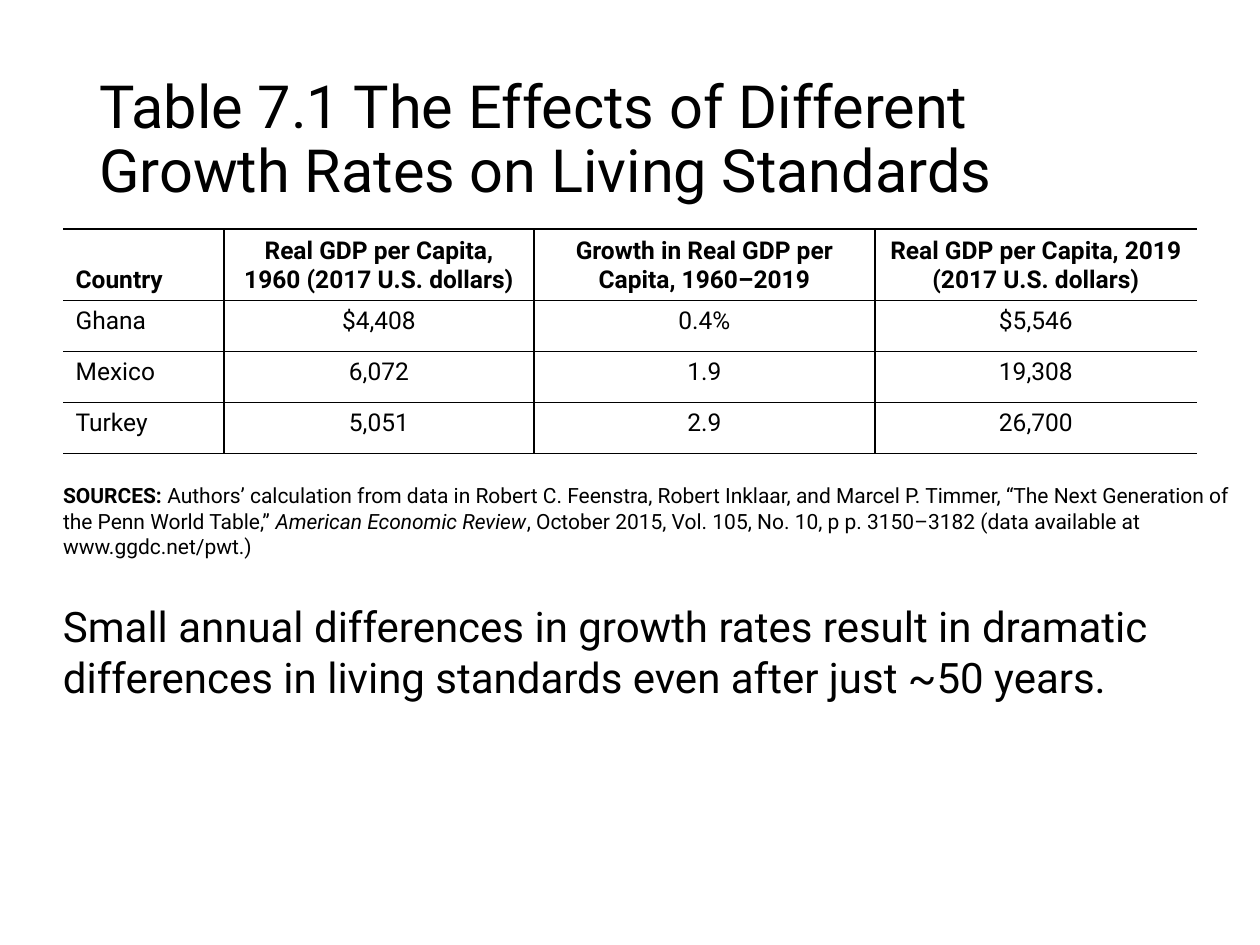
"""Build a slide with a table of growth rates and living standards."""
import pptx
import pptx.dml.color
import pptx.enum.text
import pptx.oxml
import pptx.oxml.ns
import pptx.util

PX = 914400 // 126
FONT = "Roboto"
BLACK = "000000"
TITLE = "Table 7.1 The Effects of Different Growth Rates on Living Standards"
ROWS = [
    ("Country", "Real GDP per Capita, 1960 (2017 U.S. dollars)",
     "Growth in Real GDP per Capita, 1960–2019",
     "Real GDP per Capita, 2019 (2017 U.S. dollars)"),
    ("Ghana", "$4,408", "0.4%", "$5,546"),
    ("Mexico", "6,072", "1.9", "19,308"),
    ("Turkey", "5,051", "2.9", "26,700"),
]
COLUMN_WIDTHS = [161, 310, 341, 322]
ROW_HEIGHTS = [71, 51, 51, 51]
SOURCES = [
    ("SOURCES: ", "bold"),
    ("Authors’ calculation from data in Robert C. Feenstra, Robert Inklaar, and "
     "Marcel P. Timmer, “The Next Generation of the Penn World Table,” ", ""),
    ("American Economic Review", "italic"),
    (", October 2015, Vol. 105, No. 10, p p. 3150–3182 "
     "(data available at www.ggdc.net/pwt.)", ""),
]
TAKEAWAY = ("Small annual differences in growth rates result in dramatic "
            "differences in living standards even after just ~50 years.")
ANCHOR = pptx.enum.text.MSO_ANCHOR
ALIGN = pptx.enum.text.PP_ALIGN


def px(*lengths):
    return [pptx.util.Emu(length * PX) for length in lengths]


def color(value):
    return pptx.dml.color.RGBColor.from_string(value)


def set_font(para, size):
    para.font.name = FONT
    para.font.size = pptx.util.Pt(size)
    para.font.color.rgb = color(BLACK)


def add_text(page, area, spans, size, inset=0):
    frame = page.shapes.add_textbox(*px(*area)).text_frame
    frame.word_wrap = True
    if not inset:
        frame.margin_left = frame.margin_right = 0
        frame.margin_top = frame.margin_bottom = 0
    para = frame.paragraphs[0]
    set_font(para, size)
    for text, style in spans:
        span = para.add_run()
        span.text = text
        if style:
            setattr(span.font, style, True)
    return frame


def set_borders(cell, sides):
    properties = cell._tc.get_or_add_tcPr()
    for side in "LRTB":
        paint = (f'<a:solidFill><a:srgbClr val="{BLACK}"/></a:solidFill>'
                 if side in sides else "<a:noFill/>")
        properties.append(pptx.oxml.parse_xml(
            f'<a:ln{side} {pptx.oxml.ns.nsdecls("a")} w="12700">{paint}</a:ln{side}>'))


def add_table(page, left, top):
    area = px(left, top, sum(COLUMN_WIDTHS), sum(ROW_HEIGHTS))
    table = page.shapes.add_table(len(ROWS), len(COLUMN_WIDTHS), *area).table
    table.horz_banding = False
    for column, width in zip(table.columns, px(*COLUMN_WIDTHS)):
        column.width = width
    for row, height in zip(table.rows, px(*ROW_HEIGHTS)):
        row.height = height
    last = len(COLUMN_WIDTHS) - 1
    for r, texts in enumerate(ROWS):
        for c, text in enumerate(texts):
            cell = table.cell(r, c)
            cell.text = text
            cell.vertical_anchor = ANCHOR.TOP if r else ANCHOR.BOTTOM
            set_borders(cell, "TB" + ("L" if c else "") + ("R" if c < last else ""))
            cell.fill.background()
            para = cell.text_frame.paragraphs[0]
            para.alignment = ALIGN.CENTER if c else ALIGN.LEFT
            set_font(para, 14)
            para.font.bold = r == 0


def main():
    deck = pptx.Presentation()
    deck.slide_width, deck.slide_height = px(1260, 945)
    page = deck.slides.add_slide(deck.slide_layouts[6])
    title = add_text(page, (87, 50, 1086, 183), [(TITLE, "")], 34, inset=1)
    title.vertical_anchor = ANCHOR.MIDDLE
    title.paragraphs[0].line_spacing = 0.9
    add_table(page, 63, 229)
    add_text(page, (63, 483, 1171, 84), SOURCES, 12)
    add_text(page, (63, 601, 1134, 112), [(TAKEAWAY, "")], 24)
    deck.save("out.pptx")


if __name__ == "__main__":
    main()
